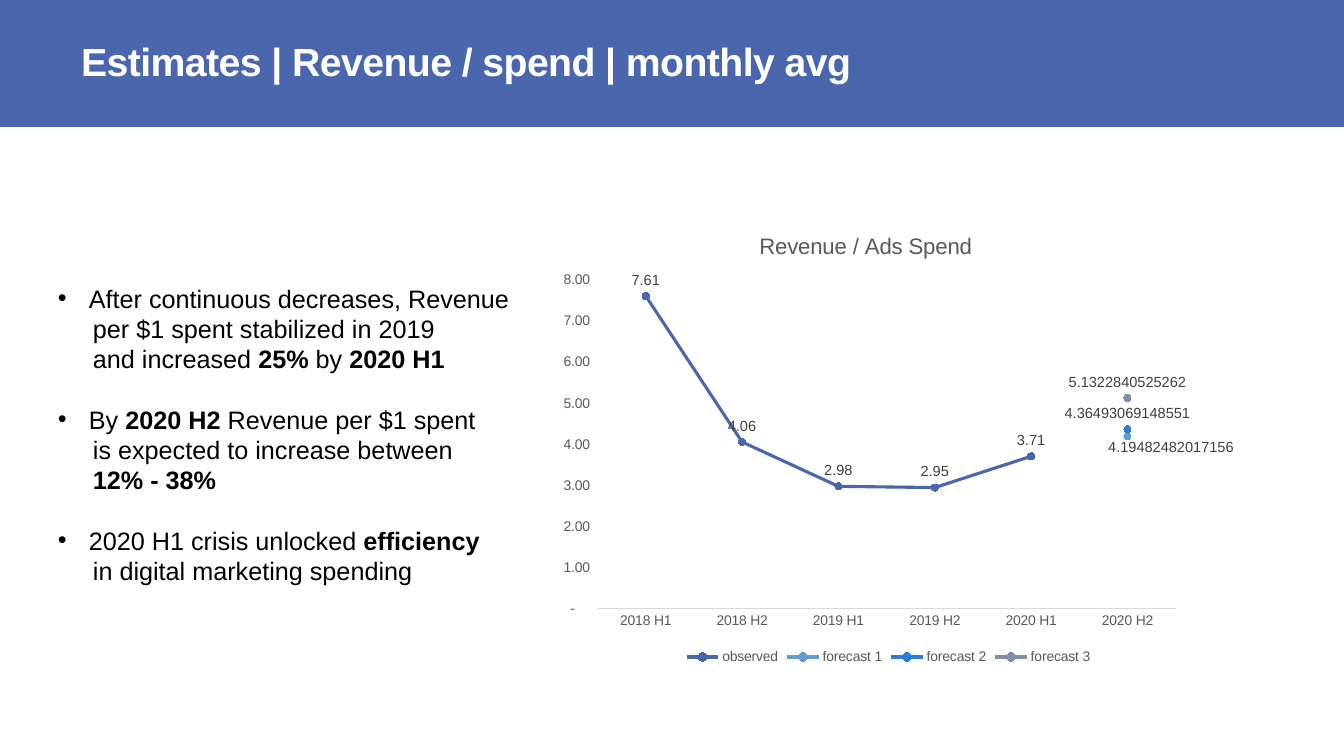
from lxml.etree import SubElement
from pptx import Presentation
from pptx.chart.data import CategoryChartData
from pptx.dml.color import RGBColor
from pptx.enum.chart import XL_CHART_TYPE, XL_LABEL_POSITION as LABEL, XL_LEGEND_POSITION as LEGEND
from pptx.enum.chart import XL_MARKER_STYLE as MARKER, XL_TICK_MARK as TICK
from pptx.enum.shapes import MSO_SHAPE
from pptx.enum.text import MSO_ANCHOR, MSO_AUTO_SIZE, PP_ALIGN
from pptx.oxml.ns import qn
from pptx.util import Pt

PX = 914400 / 100.8
CHART_W, CHART_H = 685, 454
WHITE = RGBColor(0xFF, 0xFF, 0xFF)
BLACK = RGBColor(0, 0, 0)
BLUE = RGBColor(0x4A, 0x66, 0xAC)
GREY = RGBColor(0x59, 0x59, 0x59)
DARK_GREY = RGBColor(0x40, 0x40, 0x40)
LIGHT_GREY = RGBColor(0xD9, 0xD9, 0xD9)
FORECAST_COLORS = [RGBColor(0x62, 0x9D, 0xD1), RGBColor(0x29, 0x7F, 0xD5), RGBColor(0x7F, 0x8F, 0xA9)]
ACCOUNTING = '_(* #,##0.00_);_(* \\(#,##0.00\\);_(* "-"??_);_(@_)'

PERIODS = ["2018 H1", "2018 H2", "2019 H1", "2019 H2", "2020 H1", "2020 H2"]
OBSERVED = [7.61, 4.06, 2.98, 2.95, 3.71, None]
FORECASTS = [4.194825, 4.364931, 5.132284]
FORECAST_LABELS = ["4.19482482017156", "4.36493069148551", "5.1322840525262"]
# Each bullet is a list of lines; ** marks the bold parts
BULLETS = [
    ["After continuous decreases, Revenue", "per $1 spent stabilized in 2019",
     "and increased **25%** by **2020 H1**"],
    ["By **2020 H2** Revenue per $1 spent", "is expected to increase between", "**12% - 38%**"],
    ["2020 H1 crisis unlocked **efficiency**", "in digital marketing spending"],
]


def set_font(font, size, color, bold=False):
    for name, value in dict(name="Arial", size=Pt(size), bold=bold).items():
        setattr(font, name, value)
    font.color.rgb = color


def place(parent, index, modes, **lengths):
    """Give a chart part a manual layout; lengths are px inside the chart."""
    for old in parent.findall(qn("c:layout")):
        parent.remove(old)
    layout = SubElement(parent, qn("c:layout"))
    parent.insert(index, layout)
    manual = SubElement(layout, qn("c:manualLayout"))
    fractions = {k: v / (CHART_W if k in "xw" else CHART_H) for k, v in lengths.items()}
    for name, value in {**modes, **fractions}.items():
        SubElement(manual, qn("c:" + name)).set("val", str(value))


prs = Presentation()
prs.slide_width, prs.slide_height = round(1344 * PX), round(756 * PX)
s = prs.slides.add_slide(prs.slide_layouts[5])

# Title on a full-width band
title = s.shapes.title
for name, value in dict(left=71, top=30, width=1163, height=67).items():
    setattr(title, name, round(value * PX))
tf = title.text_frame
tf.vertical_anchor = MSO_ANCHOR.MIDDLE
tf.auto_size = MSO_AUTO_SIZE.NONE
p = tf.paragraphs[0]
p.alignment, p.line_spacing = PP_ALIGN.LEFT, 0.9
r = p.add_run()
r.text = "Estimates | Revenue / spend | monthly avg"
set_font(r.font, 28, WHITE, True)
r.font._element.set("spc", "-40")

band = s.shapes.add_shape(MSO_SHAPE.RECTANGLE, 0, 0, prs.slide_width, round(127 * PX))
band.shadow.inherit = False
band.fill.solid()
band.fill.fore_color.rgb = BLUE
band.line.fill.background()
title.element.addprevious(band.element)

# Line chart
data = CategoryChartData()
data.categories = PERIODS
data.add_series("observed", OBSERVED)
for number, value in enumerate(FORECASTS, 1):
    data.add_series(f"forecast {number}", [None] * 5 + [value])
box = [round(v * PX) for v in (549, 215, CHART_W, CHART_H)]
chart = s.shapes.add_chart(XL_CHART_TYPE.LINE_MARKERS, *box, data).chart
set_font(chart.font, 10, GREY)

chart.has_title = True
p = chart.chart_title.text_frame.paragraphs[0]
r = p.add_run()
r.text = "Revenue / Ads Spend"
set_font(r.font, 16, GREY)
edges = dict(xMode="edge", yMode="edge")
place(chart.element.find(".//" + qn("c:title")), 1, edges, x=208, y=13)
place(chart.element.find(".//" + qn("c:plotArea")), 0, dict(layoutTarget="inner", **edges),
      x=49, y=65, w=583, h=329)

chart.has_legend = True
chart.legend.position = LEGEND.BOTTOM
chart.legend.include_in_layout = False
set_font(chart.legend.font, 10, GREY)

months, ratio = chart.category_axis, chart.value_axis
for axis in (months, ratio):
    axis.major_tick_mark = axis.minor_tick_mark = TICK.NONE
    axis.has_major_gridlines = False
    set_font(axis.tick_labels.font, 10, GREY)
months.format.line.color.rgb = LIGHT_GREY
months.format.line.width = Pt(0.75)
ratio.format.line.fill.background()
ratio.minimum_scale, ratio.maximum_scale, ratio.major_unit = 0, 8, 1
ratio.tick_labels.number_format = ACCOUNTING
ratio.tick_labels.number_format_is_linked = False

plot = chart.plots[0]
plot.vary_by_categories = False
for series, color in zip(plot.series, [BLUE] + FORECAST_COLORS):
    series.smooth = False
    series.format.line.color.rgb = color
    series.format.line.width = Pt(2.25)
    series.marker.style, series.marker.size = MARKER.CIRCLE, 5
    series.marker.format.fill.solid()
    series.marker.format.fill.fore_color.rgb = color
    series.marker.format.line.color.rgb = color
    labels = series.data_labels
    labels.show_value, labels.position = True, LABEL.ABOVE
    labels.number_format = ACCOUNTING if series.name == "observed" else "General"
    labels.number_format_is_linked = False
    set_font(labels.font, 10.5, DARK_GREY)

for series, text in zip(list(plot.series)[1:], FORECAST_LABELS):
    label = series.points[5].data_label
    label.position = LABEL.ABOVE
    r = label.text_frame.paragraphs[0].add_run()
    r.text = text
    set_font(r.font, 10.5, DARK_GREY)
# The lowest forecast label moves right and down, clear of its neighbours
place(chart.element.find(".//" + qn("c:dLbl")), 1, {}, x=44, y=27)

# Bullets
tf = s.shapes.add_textbox(*[round(v * PX) for v in (48, 278, 483, 315)]).text_frame
tf.word_wrap = True
p = tf.paragraphs[0]
for b, lines in enumerate(BULLETS):
    for n, line in enumerate(lines):
        if b or n:
            p = tf.add_paragraph()
        p.line_spacing = Pt(21.6)
        pPr = p._p.get_or_add_pPr()
        pPr.set("marL", str(round((35 if n else 31) * PX)))
        if n == 0:
            p.space_before = Pt(21.6 if b else 0)
            pPr.set("indent", str(round(-31 * PX)))
            SubElement(pPr, qn("a:buFont")).set("typeface", "Arial")
            SubElement(pPr, qn("a:buChar")).set("char", "•")
        for k, part in enumerate(line.split("**")):
            if part:
                r = p.add_run()
                r.text = part
                set_font(r.font, 18, BLACK, k % 2 == 1)

prs.save("out.pptx")
